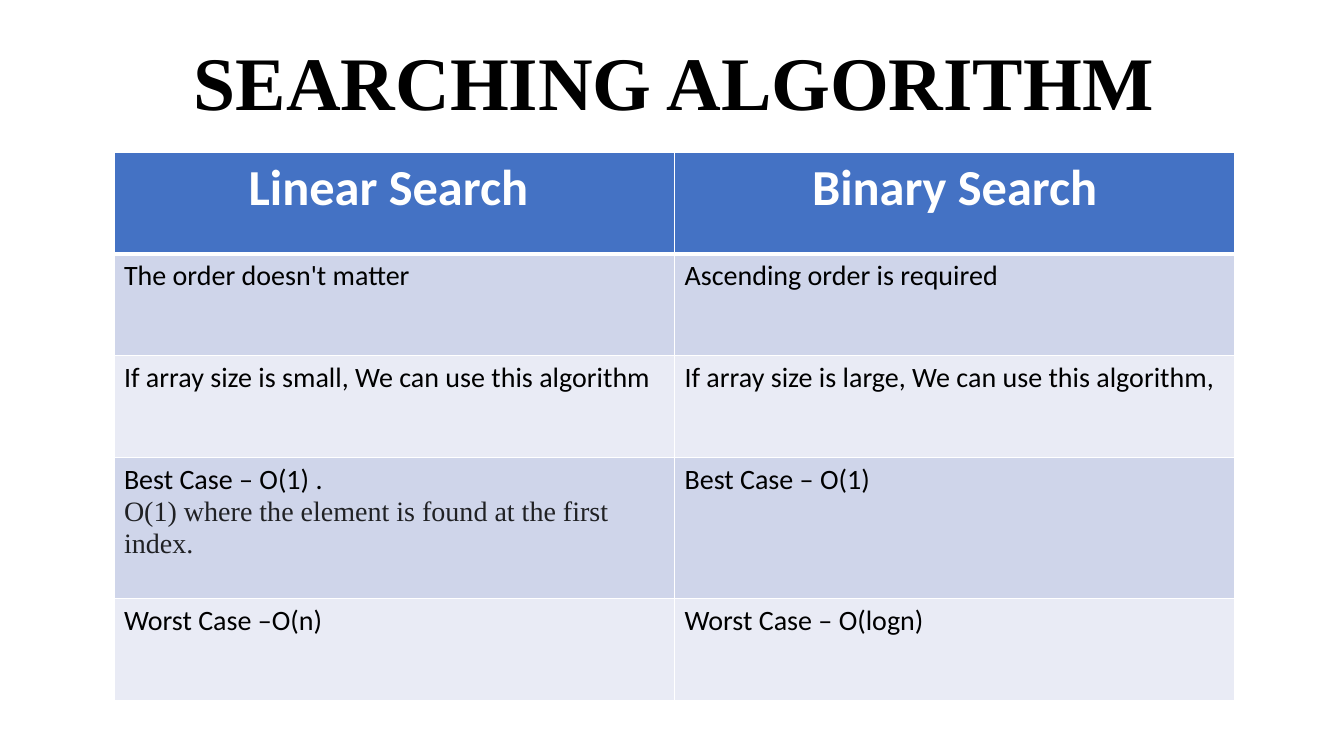
"""Build a slide that compares linear and binary search in a table."""
from dataclasses import dataclass

from lxml.etree import SubElement
from pptx import Presentation
from pptx.dml.color import RGBColor as RGB
from pptx.enum.text import MSO_ANCHOR as ANCHOR, PP_ALIGN as ALIGN
from pptx.oxml.ns import qn
from pptx.util import Pt

EMU_PER_PX = 9144


def px(n):
    return n * EMU_PER_PX


@dataclass(frozen=True)
class Theme:
    body_font: str = "Calibri"
    serif_font: str = "Times New Roman"
    title_size: int = 54
    header_size: int = 36
    body_size: int = 20
    ink: str = "000000"
    note_ink: str = "202124"
    white: str = "FFFFFF"
    header_fill: str = "4472C4"
    bands: tuple = ("CFD5EA", "E9EBF5")
    line: int = 1
    header_line: int = 3


class Deck:
    def __init__(self, theme, width, height):
        self.theme = theme
        self.prs = Presentation()
        self.prs.slide_width, self.prs.slide_height = px(width), px(height)
        self.s = None

    def slide(self):
        self.s = self.prs.slides.add_slide(self.prs.slide_layouts[5])

    def style(self, p, font, size, color, bold=False):
        for r in p.runs:
            r.font.name, r.font.size, r.font.bold = font, Pt(size), bold
            r.font.color.rgb = RGB.from_string(color)

    def title(self, text, x, y, w, h):
        t, sp = self.theme, self.s.shapes.title
        sp.left, sp.top, sp.width, sp.height = map(px, (x, y, w, h))
        tf = sp.text_frame
        tf.text = text
        tf.word_wrap = True
        tf.vertical_anchor = ANCHOR.BOTTOM
        p = tf.paragraphs[0]
        p.alignment, p.line_spacing = ALIGN.CENTER, 0.9
        self.style(p, t.serif_font, t.title_size, t.ink, True)

    def border(self, cell, top, bottom):
        tc_pr = cell._tc.get_or_add_tcPr()
        widths = {"L": self.theme.line, "R": self.theme.line, "T": top, "B": bottom}
        for side, width in widths.items():
            ln = SubElement(tc_pr, qn(f"a:ln{side}"), w=str(Pt(width)))
            fill = SubElement(ln, qn("a:solidFill"))
            SubElement(fill, qn("a:srgbClr"), val=self.theme.white)

    def cell(self, cell, text, row):
        t = self.theme
        header = row == 0
        self.border(cell, t.header_line if row == 1 else t.line,
                    t.header_line if header else t.line)
        cell.fill.solid()
        fill = t.header_fill if header else t.bands[(row - 1) % 2]
        cell.fill.fore_color.rgb = RGB.from_string(fill)
        cell.text = text
        for i, p in enumerate(cell.text_frame.paragraphs):
            if header:
                p.alignment = ALIGN.CENTER
                self.style(p, t.body_font, t.header_size, t.white, True)
            elif i:
                self.style(p, t.serif_font, t.body_size, t.note_ink)
            else:
                self.style(p, t.body_font, t.body_size, t.ink)

    def table(self, rows, heights, x, y, w):
        cols = len(rows[0])
        frame = self.s.shapes.add_table(len(rows), cols, px(x), px(y), px(w), px(sum(heights)))
        tbl = frame.table
        for col in tbl.columns:
            col.width = px(w // cols)
        for i, (texts, height) in enumerate(zip(rows, heights)):
            tbl.rows[i].height = px(height)
            for j, text in enumerate(texts):
                self.cell(tbl.cell(i, j), text, i)


def main():
    deck = Deck(Theme(), 1333, 750)
    deck.slide()
    deck.title("SEARCHING ALGORITHM", 108, 45, 1121, 86)
    rows = [
        ("Linear Search ", "Binary Search"),
        ("The order doesn't matter", "Ascending order is required"),
        ("If array size is small, We can use this algorithm",
         "If array size is large, We can use this algorithm,"),
        ("Best Case – O(1) .\nO(1) where the element is found at the first index.",
         "Best Case – O(1)"),
        ("Worst Case –O(n)", "Worst Case – O(logn)"),
    ]
    deck.table(rows, [101, 101, 101, 140, 101], 113, 151, 1112)
    deck.prs.save("out.pptx")


if __name__ == "__main__":
    main()
